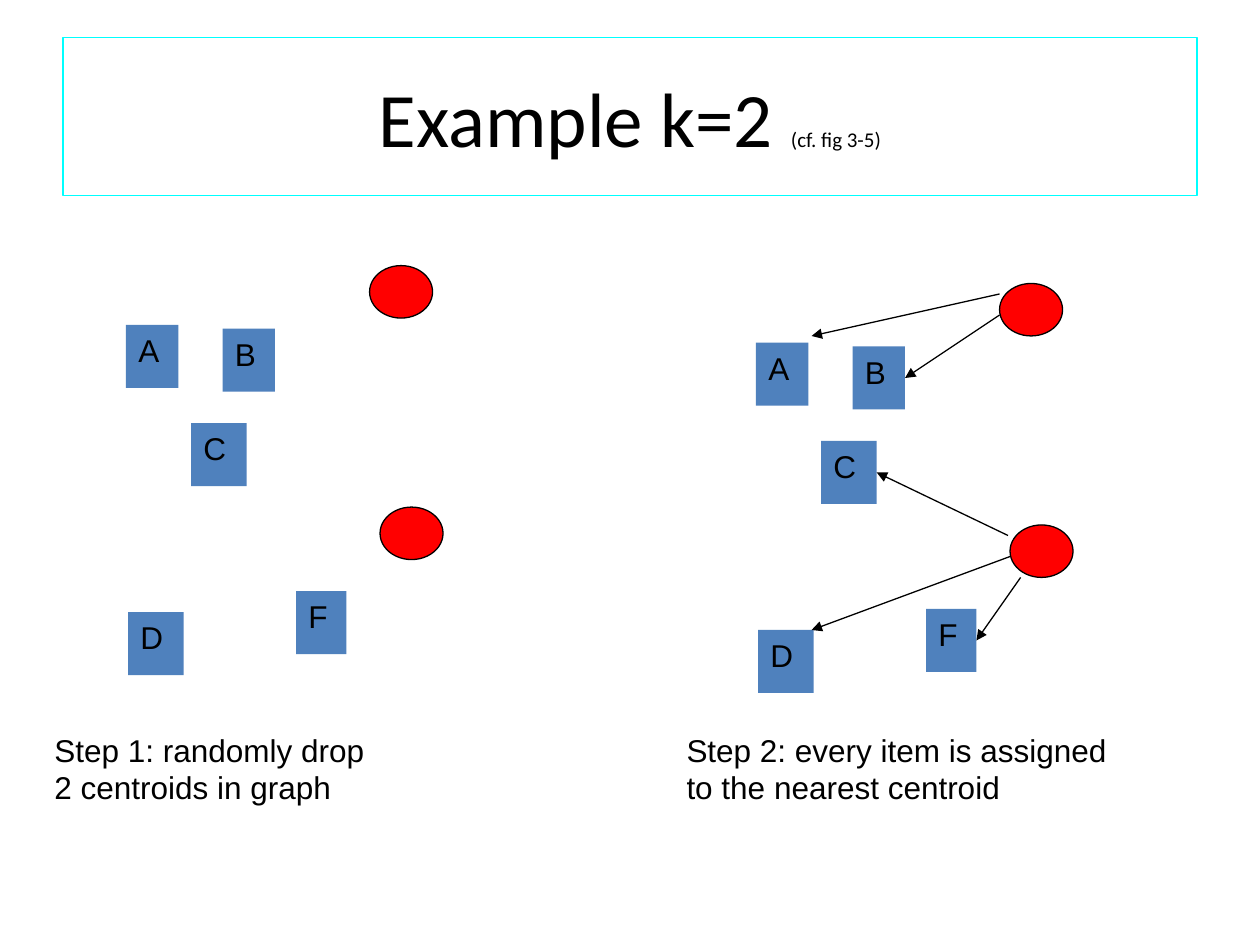
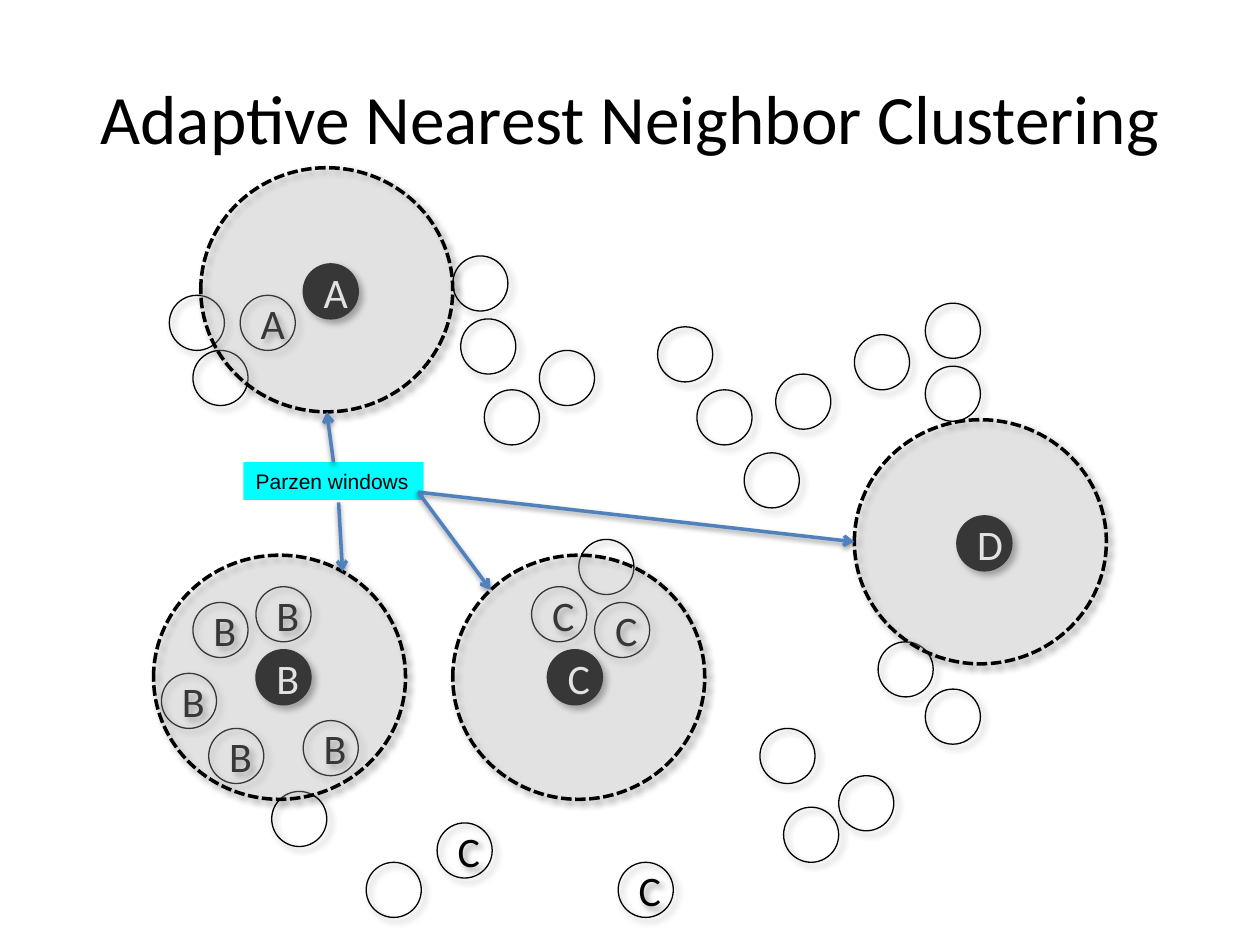
import dataclasses

import pptx
import pptx.dml.color
import pptx.enum.dml
import pptx.enum.shapes
import pptx.enum.text
import pptx.oxml
import pptx.oxml.ns
import pptx.util

Color = pptx.dml.color.RGBColor.from_string
Inches = pptx.util.Inches
Points = pptx.util.Pt
Shapes = pptx.enum.shapes.MSO_SHAPE
Align = pptx.enum.text.PP_ALIGN
Anchor = pptx.enum.text.MSO_ANCHOR


@dataclasses.dataclass(frozen=True)
class Theme:
    black: str = "000000"
    white: str = "FFFFFF"
    blue: str = "4F81BD"
    red: str = "FF0000"
    cyan: str = "00FFFF"
    gray: str = "DDDDDD"
    heading_font: str = "Calibri"
    label_font: str = "Arial"
    title_size: float = 44
    long_title_size: float = 39.6
    marker_size: float = 24
    label_size: float = 18
    note_size: float = 12
    thin: float = 0.75
    thick: float = 2
    circle_shadow: tuple = (40, 4, 3, 45)
    arrow_shadow: tuple = (38, 3.1, 1.6, 90)


@dataclasses.dataclass(frozen=True)
class Grid:
    cells_per_inch: int
    left: float = 0
    top: float = 0

    def place(self, column, row):
        return (Inches((self.left + column) / self.cells_per_inch),
                Inches((self.top + row) / self.cells_per_inch))

    def size(self, columns, rows):
        return Inches(columns / self.cells_per_inch), Inches(rows / self.cells_per_inch)


THEME = Theme()
WIDTH, HEIGHT = Inches(10), Inches(7.5)
FINE, COARSE = 16, 12
RIGHT_SIDE, TOP_SIDE = 3, 0

ITEMS = {"A": (0, 5.64, 5), "B": (9.2, 6, 5), "C": (6.2, 15, 5.3),
         "D": (0.2, 33, 5.3), "F": (16.2, 31, 4.8)}
CENTROIDS = [(23.2, 0), (24.2, 23)]
ASSIGNMENTS = [("F", (25.2, 28), None), ("D", (24.2, 26), (5.3, 33)),
               ("C", (24, 24), None), ("B", (23.2, 3), None),
               ("A", (23.2, 1), (5.3, 5))]

UNASSIGNED = [(103, 106), (112, 46), (121, 91), (87, 45), (110, 102), (98, 61),
              (25, 41), (50, 113), (121, 42), (28, 48), (62, 44), (100, 96),
              (92, 53), (38, 104), (115, 85), (65, 53), (121, 50), (77, 72),
              (61, 36), (102, 51), (72, 48)]
MEMBERS = {"A": [(34, 41)],
           "B": [(30, 96), (36, 78), (42, 95), (28, 80), (24, 89)],
           "C": [(79, 80), (71, 78), (59, 108), (82, 113)]}
CORES = {"A": (42, 37), "B": (36, 86), "C": (73, 86), "D": (125, 69)}
WINDOWS = [(73.5, 86), (35.5, 86), (41.5, 36.8), (124.5, 68.8)]
WINDOW_ARROWS = [((42.3, 58.7), (41.5, 52.3)), ((43, 63.8), (43.5, 72.6)),
                 ((53.1, 62.5), (108.5, 68.8)), ((53.1, 62.5), (62.3, 74.9))]


def style_paragraph(paragraph, font, size, color=THEME.black, align=Align.LEFT):
    paragraph.alignment = align
    paragraph.font.name = font
    paragraph.font.size = Points(size)
    paragraph.font.color.rgb = Color(color)


def add_shadow(effects, shadow):
    opacity, blur, distance, angle = shadow
    effects.append(pptx.oxml.parse_xml(
        f'<a:outerShdw {pptx.oxml.ns.nsdecls("a")} blurRad="{Points(blur)}" '
        f'dist="{Points(distance)}" dir="{angle * 60000}" rotWithShape="0">'
        f'<a:srgbClr val="{THEME.black}"><a:alpha val="{opacity * 1000}"/></a:srgbClr>'
        '</a:outerShdw>'))


def add_figure(slide, kind, position, size, fill=None, line=None, weight=THEME.thin, shadow=None):
    shape = slide.shapes.add_shape(kind, *position, *size)
    shape.shadow.inherit = False
    if fill:
        shape.fill.solid()
        shape.fill.fore_color.rgb = Color(fill)
    else:
        shape.fill.background()
    if line:
        shape.line.color.rgb = Color(line)
        shape.line.width = Points(weight)
    else:
        shape.line.fill.background()
    if shadow:
        add_shadow(shape._element.spPr.find(pptx.oxml.ns.qn("a:effectLst")), shadow)
    return shape


def add_label(shape, text, size, wrap=True):
    frame = shape.text_frame
    frame.word_wrap = wrap
    frame.vertical_anchor = Anchor.TOP
    frame.text = text
    for paragraph in frame.paragraphs:
        style_paragraph(paragraph, THEME.label_font, size)


def add_arrow(slide, start, end, color, weight, head, shadow=None):
    connector = slide.shapes.add_connector(pptx.enum.shapes.MSO_CONNECTOR.STRAIGHT, *start, *end)
    connector.line.color.rgb = Color(color)
    connector.line.width = Points(weight)
    namespace = pptx.oxml.ns.nsdecls("a")
    connector.line._get_or_add_ln().append(
        pptx.oxml.parse_xml(f'<a:tailEnd {namespace} type="{head}"/>'))
    effects = pptx.oxml.parse_xml(f"<a:effectLst {namespace}/>")
    connector._element.spPr.append(effects)
    if shadow:
        add_shadow(effects, shadow)
    return connector


def add_titled_slide(presentation, runs):
    slide = presentation.slides.add_slide(presentation.slide_layouts[5])
    title = slide.shapes.title
    title.left, title.top = int(WIDTH * 0.05), int(HEIGHT * 0.04)
    title.width, title.height = int(WIDTH * 0.9), Inches(1.25)
    frame = title.text_frame
    frame.auto_size = pptx.enum.text.MSO_AUTO_SIZE.NONE
    frame.vertical_anchor = Anchor.MIDDLE
    paragraph = frame.paragraphs[0]
    style_paragraph(paragraph, THEME.heading_font, runs[0][1], align=Align.CENTER)
    for text, size in runs:
        run = paragraph.add_run()
        run.text = text
        run.font.size = Points(size)
    return slide


def add_step_panel(slide, grid, assigned):
    boxes = {}
    for name, (column, row, columns) in ITEMS.items():
        boxes[name] = add_figure(slide, Shapes.RECTANGLE, grid.place(column, row),
                                 grid.size(columns, 6), fill=THEME.blue)
        add_label(boxes[name], name, THEME.label_size)
    for centroid in CENTROIDS:
        add_figure(slide, Shapes.OVAL, grid.place(*centroid), grid.size(6, 5),
                   fill=THEME.red, line=THEME.black)
    if not assigned:
        return
    for name, start, end in ASSIGNMENTS:
        arrow = add_arrow(slide, grid.place(*start), grid.place(*(end or start)),
                          THEME.black, THEME.thin, "triangle")
        if end is None:
            arrow.end_connect(boxes[name], RIGHT_SIDE)


def add_caption(slide, position, size, text):
    add_label(slide.shapes.add_textbox(*position, *size), text, THEME.label_size)


def build_centroid_slide(presentation):
    slide = add_titled_slide(presentation, [("Example k=2 ", THEME.title_size),
                                            ("(cf. fig 3-5)", THEME.note_size)])
    slide.shapes.title.line.color.rgb = Color(THEME.cyan)
    slide.shapes.title.line.width = Points(THEME.thin)
    add_step_panel(slide, Grid(COARSE, 12, 25.3), assigned=False)
    add_step_panel(slide, Grid(COARSE, 72, 27), assigned=True)
    page = Grid(COARSE)
    add_caption(slide, page.place(4, 69), page.size(41.8, 10.8),
                "Step 1: randomly drop\n2 centroids in graph")
    add_caption(slide, page.place(64.2, 69), page.size(55.8, 10.8),
                "Step 2: every item is assigned\nto the nearest centroid")


def add_point(slide, grid, center, text="", core=False):
    diameter = 7
    column, row = center
    point = add_figure(slide, Shapes.OVAL, grid.place(column - diameter / 2, row - diameter / 2),
                       grid.size(diameter, diameter), fill=THEME.black if core else None,
                       line=THEME.black, shadow=THEME.circle_shadow)
    if text:
        point.text_frame.text = text
        point.text_frame.vertical_anchor = Anchor.MIDDLE
        style_paragraph(point.text_frame.paragraphs[0], THEME.heading_font, THEME.marker_size,
                        THEME.white if core else THEME.black, Align.CENTER)


def add_window(slide, grid, center):
    columns, rows = 32, 31
    column, row = center
    window = add_figure(slide, Shapes.OVAL, grid.place(column - columns / 2, row - rows / 2),
                        grid.size(columns, rows), fill=THEME.gray, line=THEME.black,
                        weight=THEME.thick, shadow=THEME.circle_shadow)
    window.line.dash_style = pptx.enum.dml.MSO_LINE.SQUARE_DOT
    color = window._element.spPr.find(
        f'{pptx.oxml.ns.qn("a:solidFill")}/{pptx.oxml.ns.qn("a:srgbClr")}')
    color.append(pptx.oxml.parse_xml(f'<a:alpha {pptx.oxml.ns.nsdecls("a")} val="25000"/>'))


def add_window_legend(slide, grid):
    legend = add_figure(slide, Shapes.RECTANGLE, grid.place(30.9, 58.7),
                        grid.size(22.9, 4.8), fill=THEME.cyan)
    add_label(legend, "Parzen windows", THEME.note_size, wrap=False)
    arrows = [add_arrow(slide, grid.place(*start), grid.place(*end), THEME.blue,
                        THEME.thick, "arrow", THEME.arrow_shadow)
              for start, end in WINDOW_ARROWS]
    arrows[0].begin_connect(legend, TOP_SIDE)


def build_neighbor_slide(presentation):
    slide = add_titled_slide(
        presentation, [("Adaptive Nearest Neighbor Clustering", THEME.long_title_size)])
    grid = Grid(FINE)
    for center in UNASSIGNED:
        add_point(slide, grid, center)
    for name, centers in MEMBERS.items():
        for center in centers:
            add_point(slide, grid, center, name)
    for name, center in CORES.items():
        add_point(slide, grid, center, name, core=True)
    for center in WINDOWS:
        add_window(slide, grid, center)
    add_window_legend(slide, grid)


def main():
    presentation = pptx.Presentation()
    presentation.slide_width, presentation.slide_height = WIDTH, HEIGHT
    build_centroid_slide(presentation)
    build_neighbor_slide(presentation)
    presentation.save("out.pptx")


if __name__ == "__main__":
    main()
